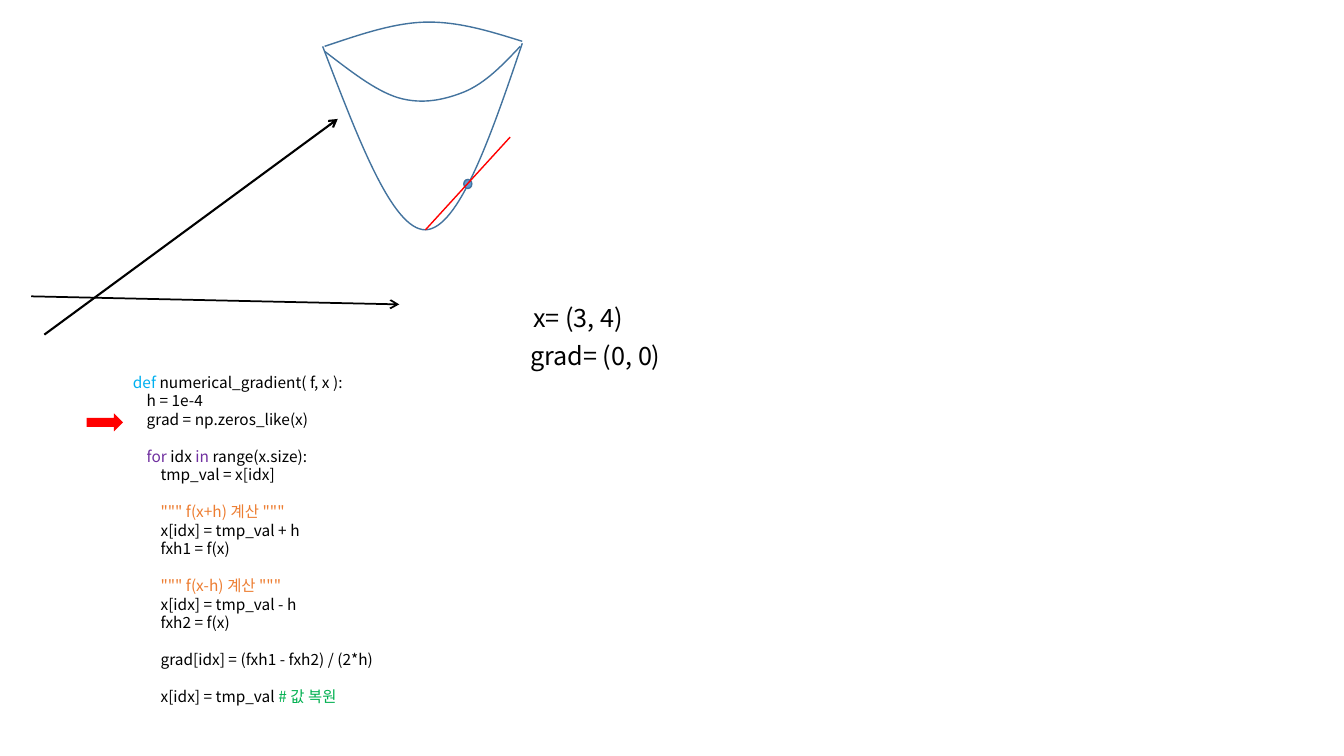
"""Build a slide explaining a numerical gradient with a curved surface and its code."""
from lxml import etree
from pptx import Presentation
from pptx.dml.color import RGBColor
from pptx.enum.shapes import MSO_CONNECTOR, MSO_SHAPE
from pptx.oxml.ns import qn
from pptx.util import Inches, Pt

STRAIGHT = MSO_CONNECTOR.STRAIGHT
OVAL = MSO_SHAPE.OVAL
RIGHT_ARROW = MSO_SHAPE.RIGHT_ARROW
FONT = "Noto Sans CJK KR"
BLACK, RED, OUTLINE, BLUE = "000000", "FF0000", "43739E", "5B9BD5"
CYAN, PURPLE, ORANGE, GREEN = "00B0F0", "7030A0", "ED7D31", "00B050"


def color(value):
    return RGBColor.from_string(value)


presentation = Presentation()
presentation.slide_width = Inches(13.33)
presentation.slide_height = Inches(7.5)
slide = presentation.slides.add_slide(presentation.slide_layouts[6])

curves = [
    [(3.2, 0.46), (3.55, 1.37), (3.89, 2.28), (4.22, 2.28),
     (4.55, 2.27), (4.87, 1.35), (5.18, 0.43)],
    [(3.22, 0.51), (3.47, 0.7), (3.72, 0.9), (3.95, 0.97), (4.19, 1.04),
     (4.41, 0.99), (4.61, 0.91), (4.82, 0.82), (4.99, 0.64), (5.16, 0.46)],
    [(3.22, 0.46), (3.55, 0.35), (3.89, 0.23), (4.21, 0.22),
     (4.54, 0.21), (4.86, 0.31), (5.18, 0.41)],
]
for controls in curves:
    start, *points = [(Inches(x), Inches(y)) for x, y in controls]
    builder = slide.shapes.build_freeform(*start)
    builder.add_line_segments(points, close=False)
    curve = builder.convert_to_shape()
    segments = list(curve._element.iter(qn("a:lnTo")))
    for first in range(0, len(segments), 3):
        bezier = etree.Element(qn("a:cubicBezTo"))
        segments[first].addprevious(bezier)
        for segment in segments[first:first + 3]:
            bezier.append(segment[0])
            segment.getparent().remove(segment)
    curve.shadow.inherit = False
    curve.fill.background()
    curve.line.color.rgb = color(OUTLINE)
    curve.line.width = Pt(1)

shapes = [
    (OVAL, (4.6, 1.78, 0.08, 0.09), BLUE, OUTLINE),
    (RIGHT_ARROW, (0.86, 4.1, 0.36, 0.18), RED, None),
]
for kind, box, fill, outline in shapes:
    shape = slide.shapes.add_shape(kind, *map(Inches, box))
    shape.shadow.inherit = False
    shape.fill.solid()
    shape.fill.fore_color.rgb = color(fill)
    if outline:
        shape.line.color.rgb = color(outline)
        shape.line.width = Pt(1)
    else:
        shape.line.fill.background()

lines = [
    ((0.44, 3.32, 3.35, 1.18), BLACK, 1.5, True),
    ((0.31, 2.94, 3.96, 3.02), BLACK, 1.25, True),
    ((5.06, 1.36, 4.22, 2.28), RED, 1, False),
]
for ends, line_color, width, has_arrow in lines:
    connector = slide.shapes.add_connector(STRAIGHT, *map(Inches, ends))
    connector.line.color.rgb = color(line_color)
    connector.line.width = Pt(width)
    if has_arrow:
        etree.SubElement(connector.line._get_or_add_ln(), qn("a:tailEnd"), type="arrow")
    etree.SubElement(connector._element.spPr, qn("a:effectLst"))

code = [
    (False, [("def ", CYAN), ("numerical_gradient( f, x ):", BLACK)]),
    (False, [("    h = 1e-4", BLACK)]),
    (False, [("    grad = np.zeros_like(x)", BLACK)]),
    (True, [("    for ", PURPLE), ("idx ", BLACK), ("in", PURPLE), (" range(x.size):", BLACK)]),
    (False, [("        tmp_val = x[idx]", BLACK)]),
    (True, [('        """ f(x+h) 계산 """', ORANGE)]),
    (False, [("        x[idx] = tmp_val + h", BLACK)]),
    (False, [("        fxh1 = f(x)", BLACK)]),
    (True, [('        """ f(x-h) 계산 """', ORANGE)]),
    (False, [("        x[idx] = tmp_val - h", BLACK)]),
    (False, [("        fxh2 = f(x)", BLACK)]),
    (True, [("        grad[idx] = (fxh1 - fxh2) / (2*h)", BLACK)]),
    (True, [("        x[idx] = tmp_val ", BLACK), ("# 값 복원", GREEN)]),
]
texts = [
    ((1.22, 3.65, 3.69, 3.62), 11, 13.2, code),
    ((5.19, 2.94, 1.21, 0.4), 18, 22, [(False, [("x= (3, 4)", BLACK)])]),
    ((5.16, 3.32, 1.55, 0.4), 18, 22, [(False, [("grad= (0, 0)", BLACK)])]),
]
for box, size, line_height, paragraphs in texts:
    frame = slide.shapes.add_textbox(*map(Inches, box)).text_frame
    frame.word_wrap = True
    for index, (gap, runs) in enumerate(paragraphs):
        paragraph = frame.paragraphs[0] if index == 0 else frame.add_paragraph()
        paragraph.line_spacing = Pt(line_height)
        if gap:
            paragraph.space_before = Pt(line_height)
        for text, run_color in runs:
            run = paragraph.add_run()
            run.text = text
            for name, value in {"name": FONT, "size": Pt(size)}.items():
                setattr(run.font, name, value)
            run.font.color.rgb = color(run_color)
            etree.SubElement(run.font._element, qn("a:ea"), typeface=FONT)

presentation.save("out.pptx")
